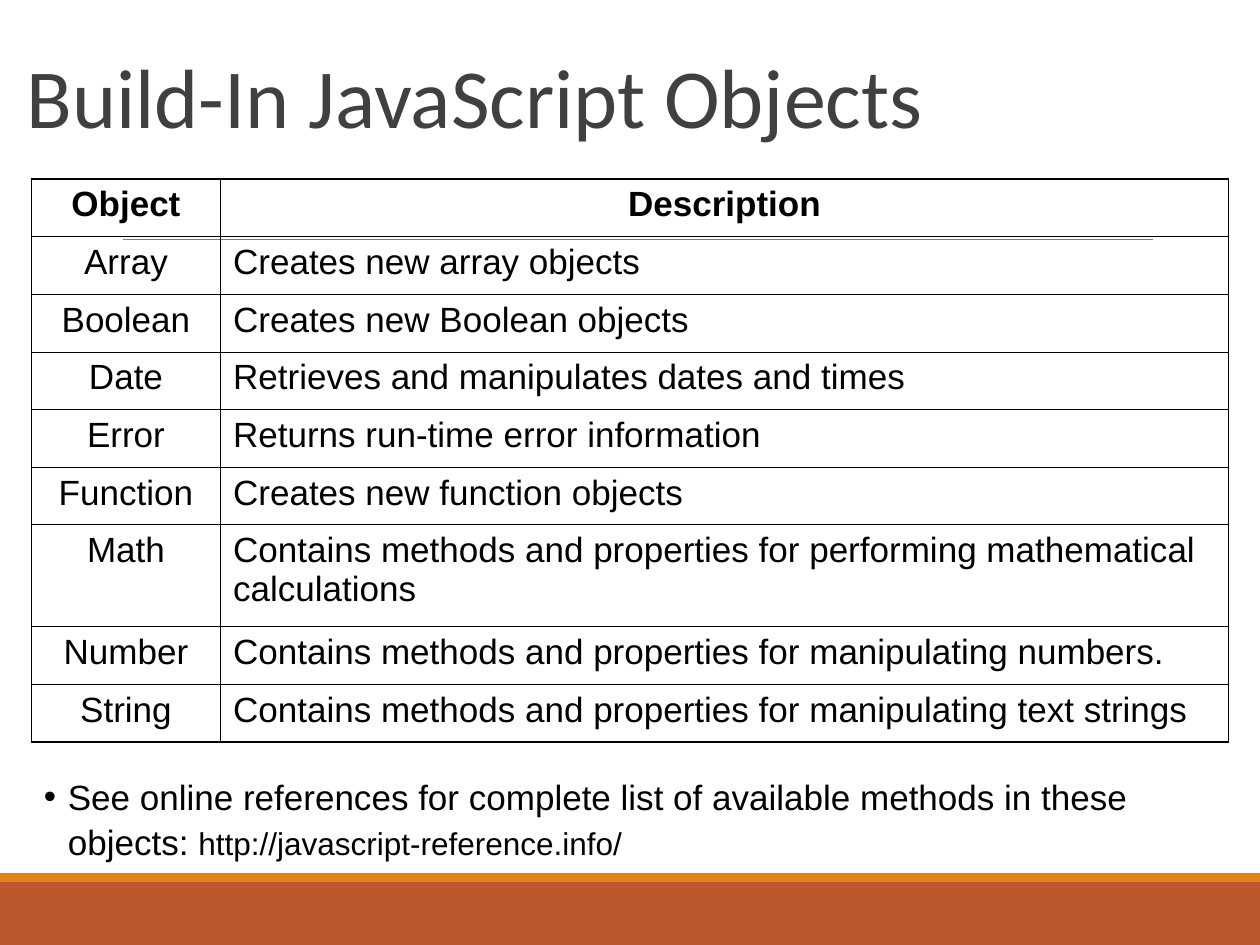
from lxml import etree
from pptx import Presentation
from pptx import util as u
from pptx.dml.color import RGBColor
from pptx.enum import shapes, text
from pptx.oxml import ns

BLACK = RGBColor(0x00, 0x00, 0x00)
TITLE_GRAY = RGBColor(0x40, 0x40, 0x40)
RULE_GRAY = RGBColor(0x7F, 0x7F, 0x7F)
RUST = RGBColor(0xBD, 0x58, 0x2C)
ORANGE = RGBColor(0xE4, 0x83, 0x12)

ROWS = [
    ("Object", "Description"),
    ("Array", "Creates new array objects"),
    ("Boolean", "Creates new Boolean objects"),
    ("Date", "Retrieves and manipulates dates and times"),
    ("Error", "Returns run-time error information"),
    ("Function", "Creates new function objects"),
    ("Math", "Contains methods and properties for performing mathematical calculations"),
    ("Number", "Contains methods and properties for manipulating numbers."),
    ("String", "Contains methods and properties for manipulating text strings"),
]


def add_run(paragraph, words, size, color=BLACK, name="Arial", bold=False):
    run = paragraph.add_run()
    run.text = words
    formats = {"size": u.Pt(size), "name": name, "bold": bold}
    for key, value in formats.items():
        setattr(run.font, key, value)
    run.font.color.rgb = color


def add_border(cell, side, width):
    properties = cell._tc.get_or_add_tcPr()
    line = etree.SubElement(properties, ns.qn(f"a:{side}"), w=str(u.Pt(width)))
    fill = etree.SubElement(line, ns.qn("a:solidFill"))
    etree.SubElement(fill, ns.qn("a:srgbClr"), val=str(BLACK))


presentation = Presentation()
presentation.slide_width = u.Inches(10)
presentation.slide_height = u.Inches(7.5)
slide = presentation.slides.add_slide(presentation.slide_layouts[6])

for top, height, color in [(7, 0.5, RUST), (6.93, 0.07, ORANGE)]:
    band = slide.shapes.add_shape(
        shapes.MSO_SHAPE.RECTANGLE, 0, u.Inches(top), u.Inches(10), u.Inches(height)
    )
    band.shadow.inherit = False
    band.fill.solid()
    band.fill.fore_color.rgb = color
    band.line.fill.background()

rule = slide.shapes.add_connector(
    shapes.MSO_CONNECTOR.STRAIGHT, u.Inches(0.98), u.Inches(1.9), u.Inches(9.15), u.Inches(1.9)
)
rule.line.color.rgb = RULE_GRAY
rule.line.width = u.Pt(0.5)
etree.SubElement(rule._element.spPr, ns.qn("a:effectLst"))

title = slide.shapes.add_textbox(u.Inches(0.17), u.Inches(0.33), u.Inches(9.75), u.Inches(0.83))
title_frame = {
    "word_wrap": True,
    "vertical_anchor": text.MSO_ANCHOR.BOTTOM,
    "margin_left": u.Inches(0.04),
    "margin_right": u.Inches(0.04),
    "margin_top": 0,
    "margin_bottom": 0,
}
for key, value in title_frame.items():
    setattr(title.text_frame, key, value)
paragraph = title.text_frame.paragraphs[0]
paragraph.line_spacing = 0.85
add_run(paragraph, "Build-In JavaScript Objects", 48, TITLE_GRAY, "Calibri")

table = slide.shapes.add_table(
    len(ROWS), 2, u.Inches(0.25), u.Inches(1.42), u.Inches(9.5), u.Inches(4.47)
).table
table.first_row = False
table.horz_banding = False
table.columns[0].width = u.Inches(1.5)
table.columns[1].width = u.Inches(8)
last = len(ROWS) - 1
for row, entries in enumerate(ROWS):
    is_math = entries[0] == "Math"
    table.rows[row].height = u.Inches(0.81 if is_math else (4.47 - 0.81) / last)
    for column, words in enumerate(entries):
        cell = table.cell(row, column)
        outer_sides = {"lnL": column == 0, "lnR": column == 1, "lnT": row == 0, "lnB": row == last}
        for side, outer in outer_sides.items():
            add_border(cell, side, 1.08 if outer else 0.45)
        cell.fill.background()
        paragraph = cell.text_frame.paragraphs[0]
        centered = row == 0 or column == 0
        paragraph.alignment = text.PP_ALIGN.CENTER if centered else text.PP_ALIGN.LEFT
        add_run(paragraph, words, 20, bold=row == 0)

note = slide.shapes.add_textbox(u.Inches(0.25), u.Inches(6.08), u.Inches(9.58), u.Inches(1.17))
note.text_frame.word_wrap = True
paragraph = note.text_frame.paragraphs[0]
paragraph.line_spacing = 1.08
properties = paragraph._p.get_or_add_pPr()
properties.set("marL", str(u.Inches(0.19)))
properties.set("indent", str(-u.Inches(0.19)))
bullet_color = etree.SubElement(properties, ns.qn("a:buClr"))
etree.SubElement(bullet_color, ns.qn("a:srgbClr"), val=str(BLACK))
etree.SubElement(properties, ns.qn("a:buFont"), typeface="Arial")
etree.SubElement(properties, ns.qn("a:buChar"), char="•")
add_run(paragraph, "See online references for complete list of available methods in these objects: ", 20)
add_run(paragraph, "http://javascript-reference.info/", 18)

presentation.save("out.pptx")
